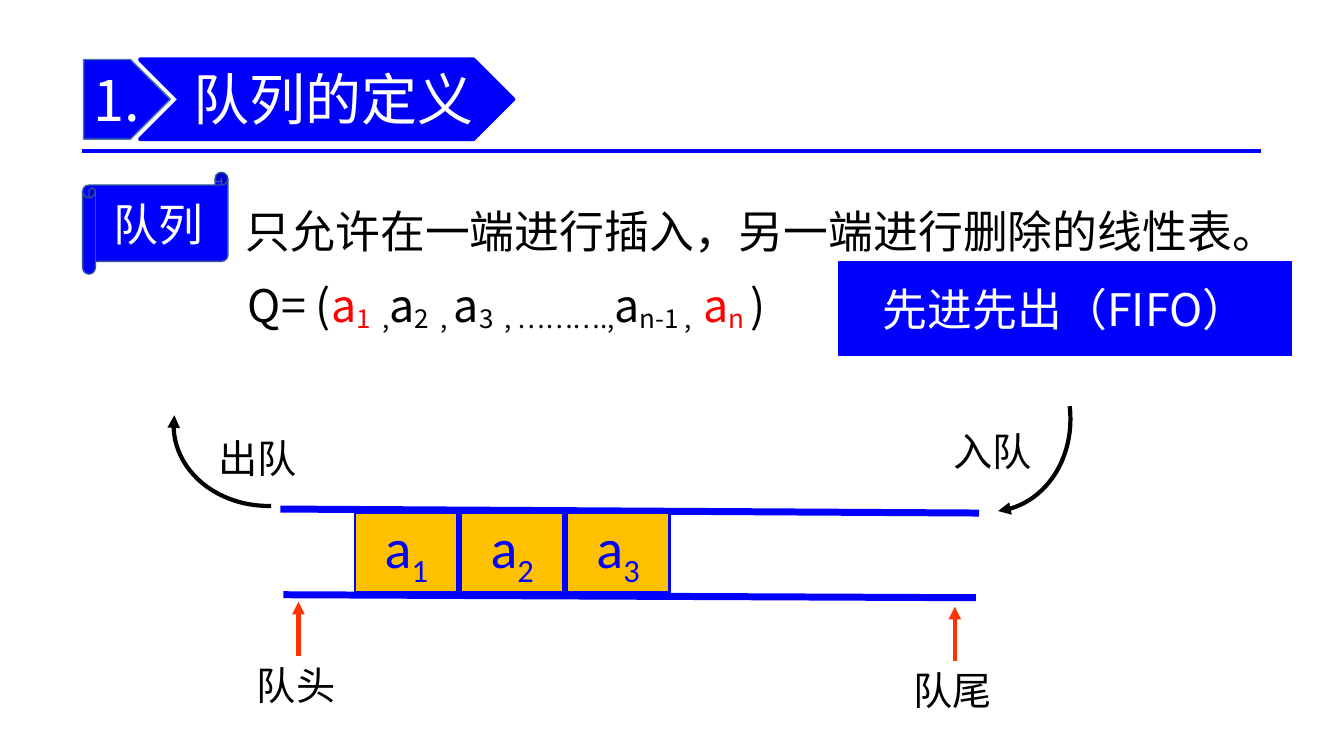
from dataclasses import dataclass

from lxml import etree
from pptx import Presentation
from pptx.dml.color import RGBColor
from pptx.enum.shapes import MSO_CONNECTOR, MSO_SHAPE
from pptx.enum.text import MSO_ANCHOR, MSO_AUTO_SIZE, PP_ALIGN
from pptx.oxml.ns import qn
from pptx.shapes.autoshape import Shape
from pptx.slide import Slide
from pptx.text.text import TextFrame
from pptx.util import Inches, Pt

BLUE = RGBColor(0x00, 0x00, 0xFF)
CHEVRON_BLUE = RGBColor(0x00, 0x00, 0xFA)
SCROLL_EDGE = RGBColor(0x32, 0x54, 0x91)
PLATE_EDGE = RGBColor(0x43, 0x73, 0x9E)
AMBER = RGBColor(0xFF, 0xC0, 0x00)
RED = RGBColor(0xFF, 0x00, 0x00)
ORANGE_RED = RGBColor(0xFF, 0x33, 0x00)
BLACK = RGBColor(0x00, 0x00, 0x00)
WHITE = RGBColor(0xFF, 0xFF, 0xFF)

CJK = "Noto Sans CJK SC"
LATIN = "Calibri"

LEFT, CENTER = PP_ALIGN.LEFT, PP_ALIGN.CENTER
TOP, MIDDLE = MSO_ANCHOR.TOP, MSO_ANCHOR.MIDDLE
NO_AUTOFIT = MSO_AUTO_SIZE.NONE
RECT, SCROLL = MSO_SHAPE.RECTANGLE, MSO_SHAPE.HORIZONTAL_SCROLL
PLATE, CHEVRON = MSO_SHAPE.PENTAGON, MSO_SHAPE.CHEVRON
STRAIGHT = MSO_CONNECTOR.STRAIGHT

Point = tuple[float, float]
Box = tuple[float, float, float, float]


@dataclass(frozen=True)
class Piece:
    text: str
    color: RGBColor
    size: int = 32
    font: str = CJK
    baseline: int = 0  # percent, negative for a subscript


@dataclass(frozen=True)
class Block:
    kind: MSO_SHAPE
    box: Box
    fill: RGBColor
    edge: RGBColor
    edge_width: float
    pieces: tuple[Piece, ...] = ()
    align: PP_ALIGN = CENTER
    margins: Box = (0.1, 0.05, 0.1, 0.05)


@dataclass(frozen=True)
class Rule:
    start: Point
    end: Point
    color: RGBColor
    width: float
    arrow: bool = False


@dataclass(frozen=True)
class Curve:
    """A cubic curve whose arrowhead sits at its last point."""
    start: Point
    control1: Point
    control2: Point
    end: Point

    def at(self, t: float) -> Point:
        weights = ((1 - t) ** 3, 3 * t * (1 - t) ** 2, 3 * t * t * (1 - t), t ** 3)
        points = (self.start, self.control1, self.control2, self.end)
        return (sum(w * p[0] for w, p in zip(weights, points)),
                sum(w * p[1] for w, p in zip(weights, points)))


def write(frame: TextFrame, pieces: tuple[Piece, ...], align: PP_ALIGN,
          anchor: MSO_ANCHOR, margins: Box = (0.1, 0.05, 0.1, 0.05)) -> None:
    frame.word_wrap = True
    frame.auto_size = NO_AUTOFIT
    frame.vertical_anchor = anchor
    (frame.margin_left, frame.margin_top,
     frame.margin_right, frame.margin_bottom) = map(Inches, margins)
    paragraph = frame.paragraphs[0]
    paragraph.alignment = align
    for piece in pieces:
        run = paragraph.add_run()
        run.text = piece.text
        run.font.size = Pt(piece.size)
        run.font.color.rgb = piece.color
        run.font.name = piece.font
        properties = run._r.get_or_add_rPr()
        etree.SubElement(properties, qn("a:ea")).set("typeface", piece.font)
        if piece.baseline:
            properties.set("baseline", str(piece.baseline * 1000))


def add_block(slide: Slide, block: Block) -> None:
    shape = slide.shapes.add_shape(block.kind, *map(Inches, block.box))
    shape.shadow.inherit = False
    shape.fill.solid()
    shape.fill.fore_color.rgb = block.fill
    shape.line.color.rgb = block.edge
    shape.line.width = Pt(block.edge_width)
    if block.pieces:
        write(shape.text_frame, block.pieces, block.align, MIDDLE, block.margins)


def add_label(slide: Slide, box: Box, *pieces: Piece) -> None:
    label = slide.shapes.add_textbox(*map(Inches, box))
    write(label.text_frame, pieces, LEFT, TOP)


def add_arrowhead(shape_line) -> None:
    etree.SubElement(shape_line._get_or_add_ln(), qn("a:tailEnd")).set("type", "triangle")


def add_rule(slide: Slide, rule: Rule) -> None:
    connector = slide.shapes.add_connector(
        STRAIGHT, *map(Inches, rule.start + rule.end))
    connector.line.color.rgb = rule.color
    connector.line.width = Pt(rule.width)
    if rule.arrow:
        add_arrowhead(connector.line)
    etree.SubElement(connector._element.spPr, qn("a:effectLst"))


def add_curve(slide: Slide, curve: Curve, steps: int = 24) -> Shape:
    points = [tuple(map(Inches, curve.at(i / steps))) for i in range(steps + 1)]
    builder = slide.shapes.build_freeform(*points[0])
    builder.add_line_segments(points[1:], close=False)
    shape = builder.convert_to_shape()
    shape.shadow.inherit = False
    shape.fill.background()
    shape.line.color.rgb = BLACK
    shape.line.width = Pt(3)
    add_arrowhead(shape.line)
    return shape


def main() -> None:
    deck = Presentation()
    deck.slide_width, deck.slide_height = Inches(13.33), Inches(7.5)
    slide = deck.slides.add_slide(deck.slide_layouts[5])

    # Heading band
    add_rule(slide, Rule((0.81, 1.5), (12.51, 1.5), BLUE, 3))
    add_block(slide, Block(PLATE, (0.83, 0.59, 0.86, 0.79), BLUE, PLATE_EDGE, 1,
                           (Piece("1.", WHITE, 40),), LEFT))
    add_block(slide, Block(CHEVRON, (1.39, 0.59, 3.7, 0.79), CHEVRON_BLUE, BLUE, 3))
    title = slide.shapes.title
    title.left, title.top, title.width, title.height = map(Inches, (1.88, 0.43, 3.18, 1.08))
    write(title.text_frame, (Piece("队列的定义", WHITE, 40),), LEFT, MIDDLE,
          (0.04, 0.02, 0, 0.02))
    slide.shapes._spTree.append(title._element)  # in front of the chevron

    # Definition and formula
    add_block(slide, Block(SCROLL, (0.82, 1.71, 1.44, 1.01), BLUE, SCROLL_EDGE, 1,
                           (Piece("队列", WHITE),)))
    add_label(slide, (2.34, 1.97, 10.3, 0.64),
              Piece("只允许在一端进行插入，另一端进行删除的线性表。", BLACK))
    formula = [Piece("Q= (", BLACK)]
    for index, separator, color in (("1 ", " ,", RED), ("2  , ", "", BLACK),
                                    ("3  , ……….,", "", BLACK),
                                    ("n-1 ,  ", "", BLACK), ("n ", "", RED)):
        formula += [Piece("a", color), Piece(index, color, baseline=-12)]
        if separator:
            formula.append(Piece(separator, BLACK, baseline=-12))
    add_label(slide, (2.36, 2.71, 6.06, 0.64), *formula, Piece(")", BLACK))
    add_block(slide, Block(RECT, (8.32, 2.6, 4.49, 0.93), BLUE, BLUE, 1,
                           (Piece("先进先出（FIFO）", WHITE),)))

    # Queue walls and elements
    add_rule(slide, Rule((9.71, 5.09), (2.78, 5.05), BLUE, 5))
    add_rule(slide, Rule((9.68, 5.93), (2.81, 5.9), BLUE, 5))
    for i in range(3):
        element = (Piece("a", BLUE, 40, LATIN), Piece(str(i + 1), BLUE, 40, LATIN, -25))
        add_block(slide, Block(RECT, (3.52 + 1.05 * i, 5.09, 1.02, 0.79), AMBER, BLUE, 2,
                               element, margins=(0.1, 0, 0.1, 0.05)))

    # Front and rear pointers
    for name, x, y in (("队头", 2.96, 6.51), ("队尾", 9.47, 6.56)):
        add_rule(slide, Rule((x, y), (x, y - 0.54), ORANGE_RED, 3, arrow=True))
        add_label(slide, (x - 0.51, y, 1.07, 0.57), Piece(name, BLACK, 28))

    # Entering and leaving the queue
    add_curve(slide, Curve((10.61, 4.03), (10.67, 4.56), (10.35, 5.02), (9.9, 5.07)))
    add_label(slide, (9.36, 4.19, 1.07, 0.57), Piece("入队", BLACK, 28))
    add_curve(slide, Curve((2.69, 5.02), (2.1, 5.03), (1.66, 4.6), (1.73, 4.12)))
    add_label(slide, (2.07, 4.26, 1.07, 0.57), Piece("出队", BLACK, 28))

    deck.save("out.pptx")


if __name__ == "__main__":
    main()
